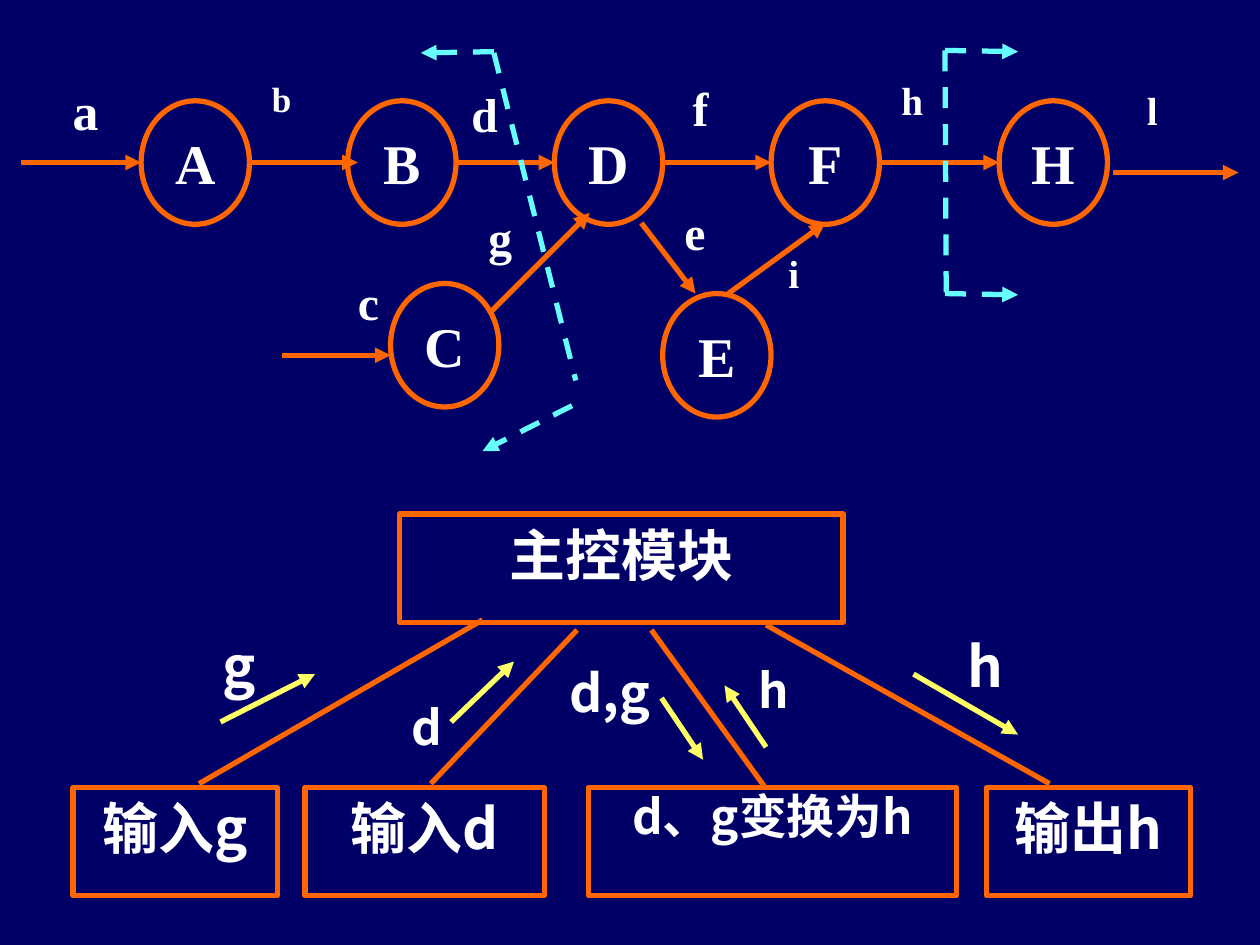
from lxml.etree import SubElement
from pptx import Presentation
from pptx.dml.color import RGBColor
from pptx.enum.dml import MSO_LINE
from pptx.enum.shapes import MSO_CONNECTOR, MSO_SHAPE
from pptx.enum.text import MSO_ANCHOR, PP_ALIGN
from pptx.oxml.ns import qn
from pptx.util import Inches, Pt

SERIF, SANS = "Times New Roman", "Noto Sans CJK SC"
ORANGE, CYAN, YELLOW = "FF6600", "66FFFF", "FFFF66"
color = RGBColor.from_string


def put_text(group, text, x, y, w, h, shape=None, size=32, font=SERIF,
             align=PP_ALIGN.CENTER, anchor=MSO_ANCHOR.TOP, space=1.0):
    """Add a text box, or an outlined shape when one is named."""
    area = [Inches(v) for v in (x, y, w, h)]
    if shape is None:
        box = group.shapes.add_textbox(*area)
    else:
        box = group.shapes.add_shape(shape, *area)
        box.shadow.inherit = False
        box.fill.background()
        box.line.color.rgb = color(ORANGE)
        box.line.width = Pt(3)
    frame = box.text_frame
    frame.word_wrap = True
    frame.vertical_anchor = anchor
    para = frame.paragraphs[0]
    para.alignment = align
    para.line_spacing = space
    run = para.add_run()
    run.text = text
    run.font.size = Pt(size)
    run.font.bold = True
    run.font.name = font
    run.font.color.rgb = color("FFFFFF")
    SubElement(run.font._element, qn("a:ea"), typeface=font)


def put_line(group, start, end, tint=ORANGE, dash=False, arrow=True):
    ends = [Inches(v) for v in (*start, *end)]
    line = group.shapes.add_connector(MSO_CONNECTOR.STRAIGHT, *ends)
    line.line.color.rgb = color(tint)
    line.line.width = Pt(3)
    if dash:
        line.line.dash_style = MSO_LINE.DASH
    if arrow:
        SubElement(line.line._get_or_add_ln(), qn("a:tailEnd"), type="triangle")
    SubElement(line._element.spPr, qn("a:effectLst"))


deck = Presentation()
deck.slide_width, deck.slide_height = Inches(10), Inches(7.5)
slide = deck.slides.add_slide(deck.slide_layouts[6])
slide.background.fill.solid()
slide.background.fill.fore_color.rgb = color("000066")

# Data flow: labels
flow = slide.shapes.add_group_shape()
for text, x, y, w, h, size, space in [
    ("l", 8.8, 0.71, 0.69, 0.51, 22.4, 0.8),
    ("h", 6.98, 0.63, 0.52, 0.48, 22.4, 0.8),
    ("i", 6, 2, 0.6, 0.48, 22.4, 0.8),
    ("f", 5.26, 0.63, 0.6, 0.56, 27.2, 0.9),
    ("e", 5.17, 1.61, 0.69, 0.56, 27.2, 0.9),
    ("g", 3.67, 1.65, 0.6, 0.56, 27.2, 0.9),
    ("c", 2.58, 2.17, 0.69, 0.56, 27.2, 0.9),
    ("d", 3.5, 0.68, 0.69, 0.56, 27.2, 0.9),
    ("b", 1.89, 0.63, 0.69, 0.45, 20, 0.8),
    ("a", 0.25, 0.63, 0.86, 0.61, 29.6, 0.9),
]:
    put_text(flow, text, x, y, w, h, size=size, space=space)

# Data flow: process circles
for text, x, y in [("A", 1.12, 0.8), ("B", 2.76, 0.8), ("C", 3.1, 2.25),
                   ("D", 4.4, 0.8), ("E", 5.26, 2.33), ("F", 6.12, 0.8),
                   ("H", 7.93, 0.8)]:
    put_text(flow, text, x, y, 0.86, 0.98, shape=MSO_SHAPE.OVAL,
             anchor=MSO_ANCHOR.MIDDLE)

# Data flow: arrows
for start, end in [
    ((0.17, 1.29), (1.12, 1.29)), ((1.98, 1.29), (2.84, 1.29)),
    ((3.62, 1.29), (4.4, 1.29)), ((5.26, 1.29), (6.12, 1.29)),
    ((6.98, 1.29), (7.93, 1.29)), ((8.83, 1.37), (9.83, 1.37)),
    ((2.24, 2.82), (3.1, 2.82)), ((3.88, 2.49), (4.68, 1.69)),
    ((5.09, 1.77), (5.52, 2.33)), ((5.78, 2.33), (6.55, 1.77)),
]:
    put_line(flow, start, end)

# Dashed borders of the input and output parts
for start, end, arrow in [
    ((3.92, 0.41), (3.34, 0.42), True),
    ((3.92, 0.42), (4.57, 3.02), False),
    ((4.54, 3.22), (3.83, 3.58), True),
    ((7.5, 0.4), (8.08, 0.41), True),
    ((7.5, 0.4), (7.51, 2.37), False),
    ((7.5, 2.33), (8.08, 2.34), True),
]:
    put_line(flow, start, end, tint=CYAN, dash=True, arrow=arrow)

# Module chart: labels
chart = slide.shapes.add_group_shape()
for text, x, y, w, h, size, space in [
    ("h", 7.58, 4.96, 0.75, 0.67, 32, 1.0),
    ("h", 5.92, 5.25, 0.58, 0.58, 27.2, 0.9),
    ("d,g", 4.42, 5.25, 1, 0.67, 29.6, 0.9),
    ("d", 3.17, 5.54, 0.58, 0.58, 27.2, 0.9),
    ("g", 1.67, 4.96, 0.67, 0.68, 32, 1.0),
]:
    put_text(chart, text, x, y, w, h, size=size, space=space, font=SANS,
             align=PP_ALIGN.JUSTIFY)

# Module chart: boxes
for text, x, y, w, size, space in [
    ("主控模块", 3.17, 4.08, 3.52, 32, 1.0),
    ("输入g", 0.58, 6.25, 1.62, 32, 1.0),
    ("输入d", 2.42, 6.25, 1.9, 32, 1.0),
    ("d、g变换为h", 4.67, 6.25, 2.92, 27.2, 0.9),
    ("输出h", 7.83, 6.25, 1.62, 32, 1.0),
]:
    put_text(chart, text, x, y, w, 0.86, shape=MSO_SHAPE.RECTANGLE,
             size=size, space=space, font=SANS)

# Module chart: links from the main module
for start, end in [((3.83, 4.92), (1.58, 6.22)), ((4.58, 5), (3.42, 6.22)),
                   ((5.17, 5), (6.08, 6.26)), ((6.08, 4.96), (8.33, 6.22))]:
    put_line(chart, start, end, arrow=False)

# Module chart: data passed along the links
for start, end in [((1.75, 5.73), (2.5, 5.35)), ((3.58, 5.73), (4.08, 5.25)),
                   ((5.25, 5.54), (5.58, 6.03)), ((6.08, 5.93), (5.75, 5.44)),
                   ((7.25, 5.35), (8.08, 5.83))]:
    put_line(chart, start, end, tint=YELLOW)

deck.save("out.pptx")
